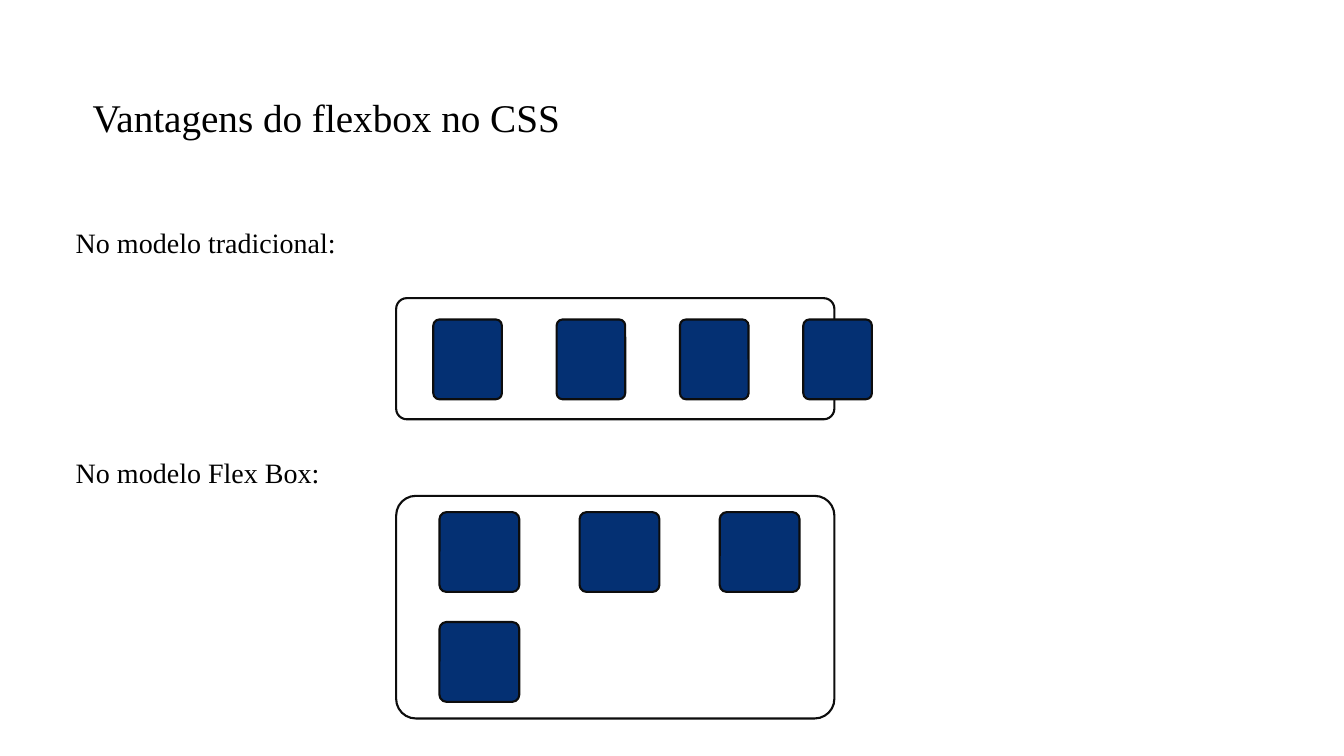
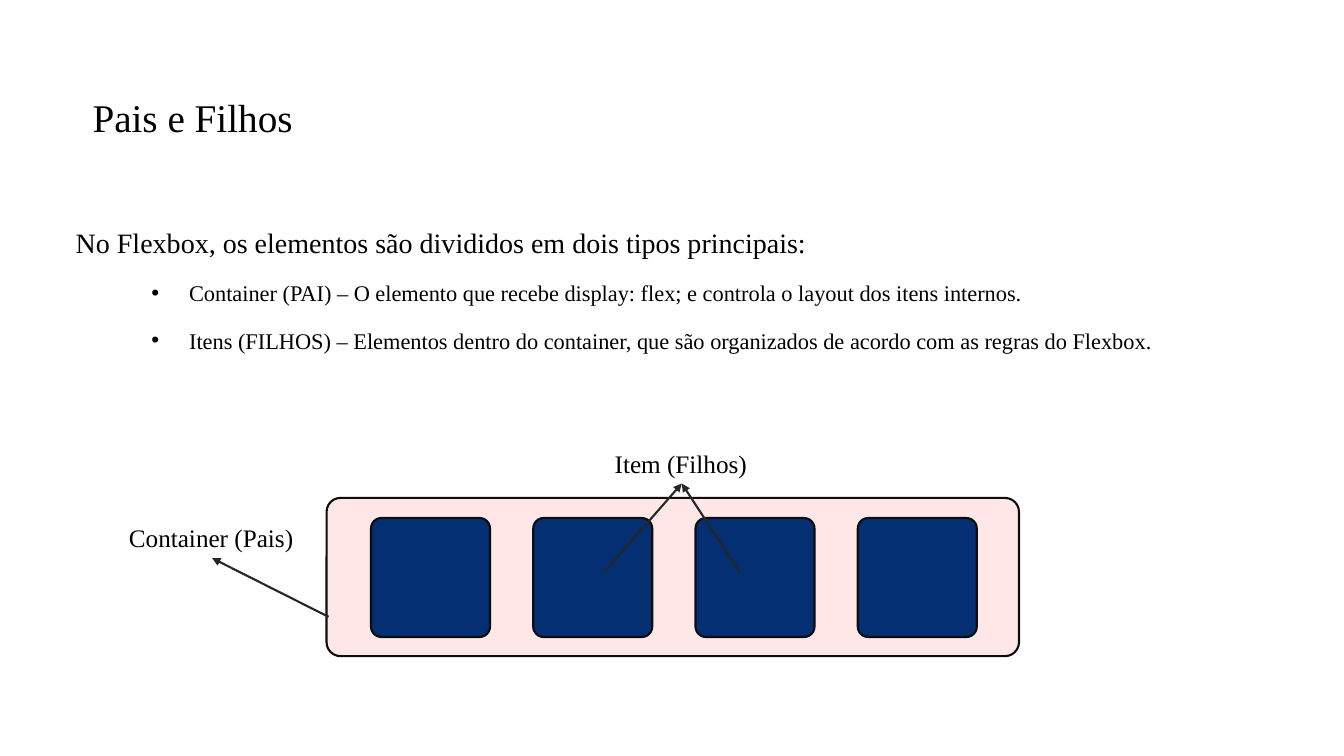
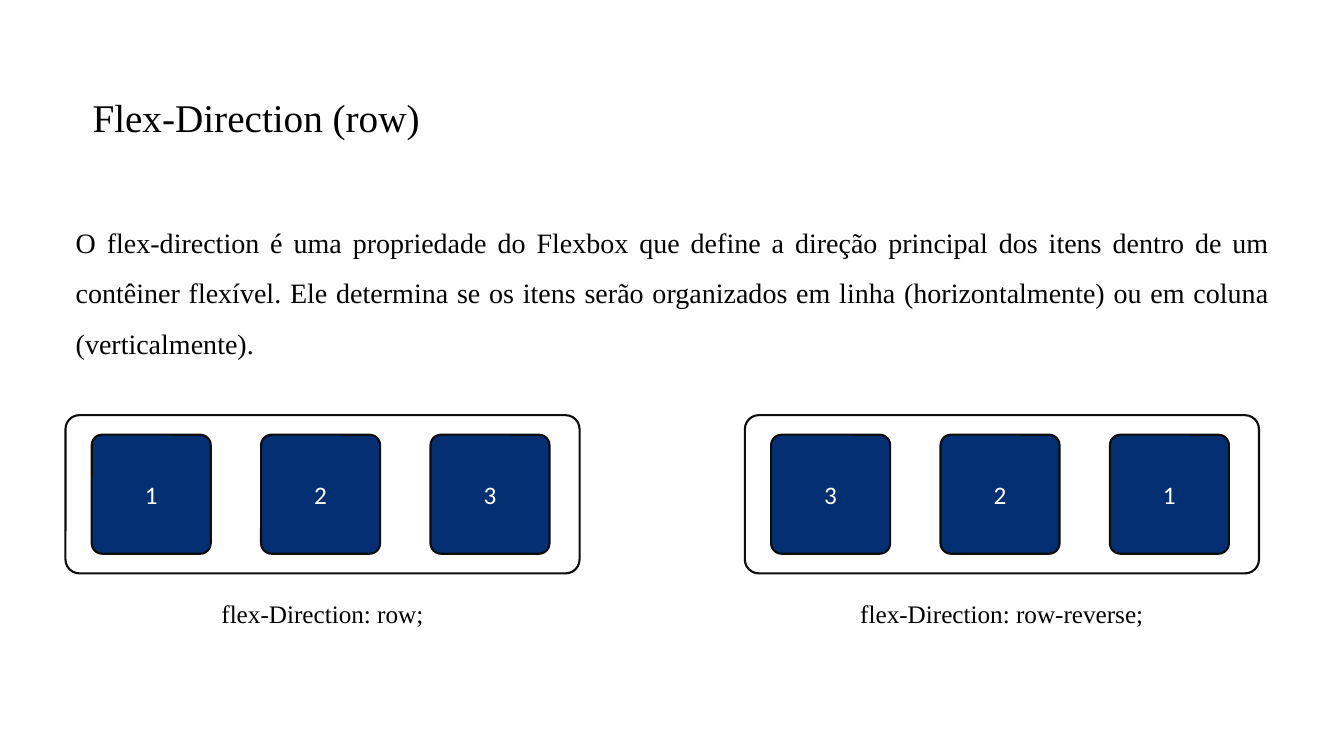
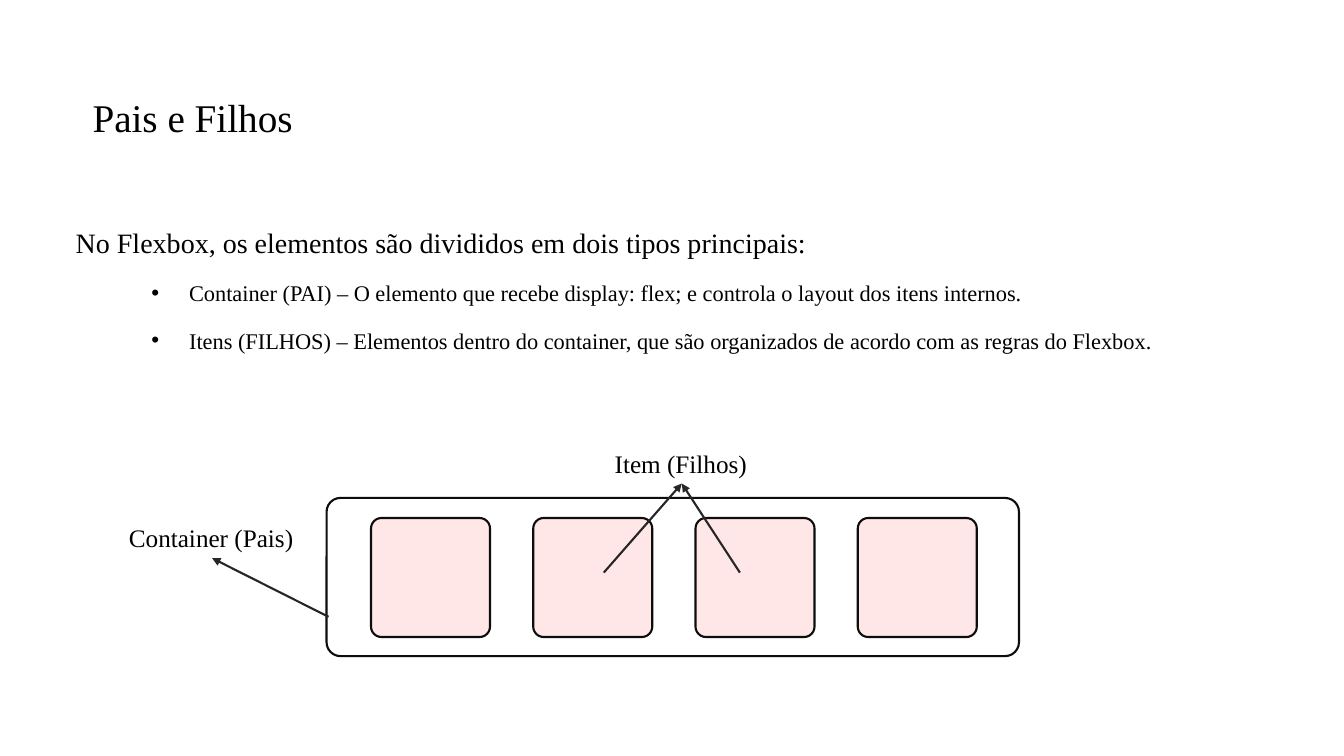
"""Build four slides that explain the CSS flexbox model."""
import lxml.etree
import pptx
import pptx.dml.color
import pptx.enum.shapes
import pptx.enum.text
import pptx.oxml
import pptx.oxml.ns
import pptx.util

Pt = pptx.util.Pt
rgb = pptx.dml.color.RGBColor.from_string
qn = pptx.oxml.ns.qn
ALIGN = pptx.enum.text.PP_ALIGN
ANCHOR = pptx.enum.text.MSO_ANCHOR
AUTO_SIZE = pptx.enum.text.MSO_AUTO_SIZE

NAVY, PINK, WHITE, BLACK = "043073", "FFE7E7", "FFFFFF", "000000"
OUTLINE, ARROW = "0D0D0D", "262626"


def add_text(shapes, left, top, width, height, text, size=18, align=ALIGN.LEFT,
             spacing=None, wrap=True, grow=False, bullets=()):
    """Add a text box with one paragraph, followed by optional bullets."""
    box = shapes.add_textbox(Pt(left), Pt(top), Pt(width), Pt(height))
    frame = box.text_frame
    frame.word_wrap = wrap
    frame.auto_size = AUTO_SIZE.SHAPE_TO_FIT_TEXT if grow else AUTO_SIZE.NONE
    for index, line in enumerate([text, *bullets]):
        paragraph = frame.add_paragraph() if index else frame.paragraphs[0]
        paragraph.alignment = ALIGN.LEFT if index else align
        if spacing:
            paragraph.line_spacing = spacing
        if index:
            paragraph.level = 1
            paragraph.space_before = Pt(5)
            properties = paragraph._p.get_or_add_pPr()
            properties.set("marL", str(Pt(81)))
            properties.set("indent", str(Pt(-27)))
            lxml.etree.SubElement(properties, qn("a:buFont"), typeface="Arial")
            lxml.etree.SubElement(properties, qn("a:buChar"), char="•")
        run = paragraph.add_run()
        run.text = line
        run.font.name = "Times New Roman"
        run.font.size = Pt(16 if index else size)
        run.font.color.rgb = rgb(BLACK)
    return box


def add_box(shapes, left, top, width, height, fill, number=""):
    """Add an outlined rounded box, with a number if one is given."""
    box = shapes.add_shape(pptx.enum.shapes.MSO_SHAPE.ROUNDED_RECTANGLE,
                           Pt(left), Pt(top), Pt(width), Pt(height))
    box.adjustments[0] = 0.088
    box.shadow.inherit = False
    box.fill.solid()
    box.fill.fore_color.rgb = rgb(fill)
    box.line.color.rgb = rgb(OUTLINE)
    box.line.width = Pt(1.5)
    if number:
        box.text_frame.vertical_anchor = ANCHOR.MIDDLE
        paragraph = box.text_frame.paragraphs[0]
        paragraph.alignment = ALIGN.CENTER
        run = paragraph.add_run()
        run.text = number
        run.font.name = "Calibri"
        run.font.size = Pt(18)
        run.font.color.rgb = rgb(WHITE)


deck = pptx.Presentation()
deck.slide_width, deck.slide_height = Pt(960), Pt(540)

pages = []
for title in ("Vantagens do flexbox no CSS", "Pais e Filhos",
              "Flex-Direction (row)", "Pais e Filhos"):
    page = deck.slides.add_slide(deck.slide_layouts[6]).shapes
    add_text(page, 59, 67, 741, 35, title, 28, spacing=0.9)
    pages.append(page)
advantages, family, direction, family_items = pages

for top, model in ((145.5, "No modelo tradicional:"), (309.5, "No modelo Flex Box:")):
    add_text(advantages, 47, top, 203, 42.5, model, 20, ALIGN.JUSTIFY, 1.5)
add_box(advantages, 283, 213, 313, 86.5, WHITE)
for item in range(4):
    add_box(advantages, 309.5 + item * 88.1, 228.2, 49, 57, NAVY)
add_box(advantages, 283, 354.2, 313, 159, WHITE)
for item in range(4):
    row, column = divmod(item, 3)
    add_box(advantages, 313.9 + column * 100.1, 365.8 + row * 78.5, 57, 57, NAVY)

for page, container_fill, item_fill in ((family, PINK, NAVY), (family_items, WHITE, PINK)):
    add_box(page, 233.3, 355.7, 494.6, 113, container_fill)
    for item in range(4):
        add_box(page, 265 + item * 115.9, 370, 85, 85, item_fill)
    parent = add_text(page, 85, 369.7, 133, 29, "Container (Pais)", wrap=False, grow=True)
    children = add_text(page, 432, 316.4, 110, 29, "Item (Filhos)", wrap=False, grow=True)
    for left, top, label in ((234.7, 440.6, parent), (431.3, 409, children),
                             (528.5, 409, children)):
        arrow = page.add_connector(pptx.enum.shapes.MSO_CONNECTOR.STRAIGHT,
                                   Pt(left), Pt(top), Pt(left), Pt(top))
        arrow.end_connect(label, 2)
        arrow.line.color.rgb = rgb(ARROW)
        arrow.line.width = Pt(1.5)
        lxml.etree.SubElement(arrow.line._get_or_add_ln(), qn("a:tailEnd"), type="triangle")
        lxml.etree.SubElement(arrow._element.spPr, qn("a:effectLst"))
    add_text(page, 47, 145.5, 867, 124.5,
             "No Flexbox, os elementos são divididos em dois tipos principais:",
             20, ALIGN.JUSTIFY, 1.5, bullets=(
                 "Container (PAI) – O elemento que recebe display: flex; e controla o layout "
                 "dos itens internos.",
                 "Itens (FILHOS) – Elementos dentro do container, que são organizados de acordo "
                 "com as regras do Flexbox."))

add_text(direction, 47, 145.5, 867, 124.5,
         "O flex-direction é uma propriedade do Flexbox que define a direção principal dos "
         "itens dentro de um contêiner flexível. Ele determina se os itens serão organizados "
         "em linha (horizontalmente) ou em coluna (verticalmente).", 20, ALIGN.JUSTIFY, 1.5)
for left, numbers, caption, caption_width in (
        (46.8, "123", "flex-Direction: row;", 166),
        (532.1, "321", "flex-Direction: row-reverse;", 219)):
    example = direction.add_group_shape().shapes
    add_box(example, left, 296.6, 367.2, 113, WHITE)
    for item, number in enumerate(numbers):
        add_box(example, left + 18.7 + item * 121, 310.5, 85, 85, NAVY, number)
    add_text(direction, left + (367.2 - caption_width) / 2, 424, caption_width, 29,
             caption, align=ALIGN.CENTER, grow=True)

deck.save("out.pptx")
